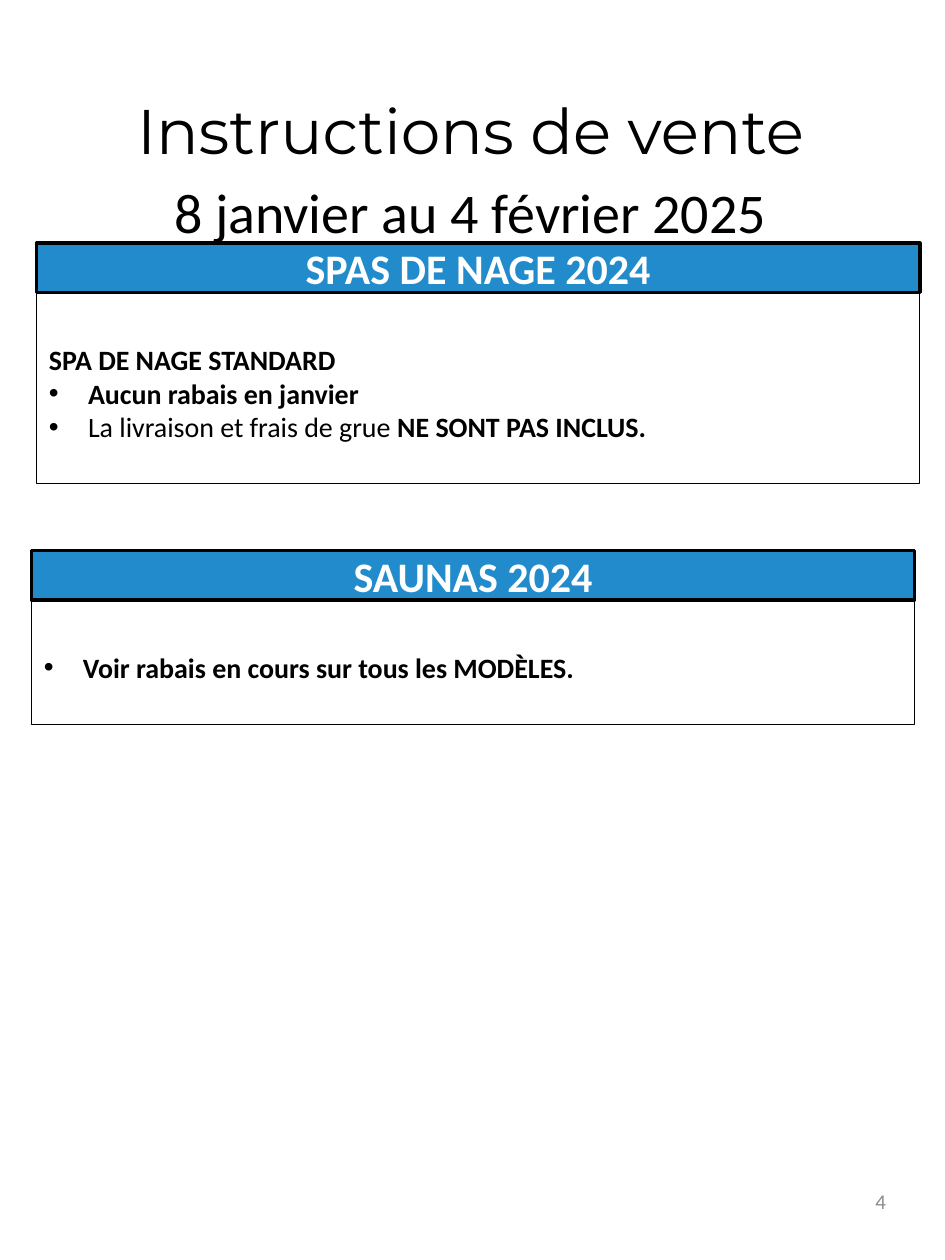
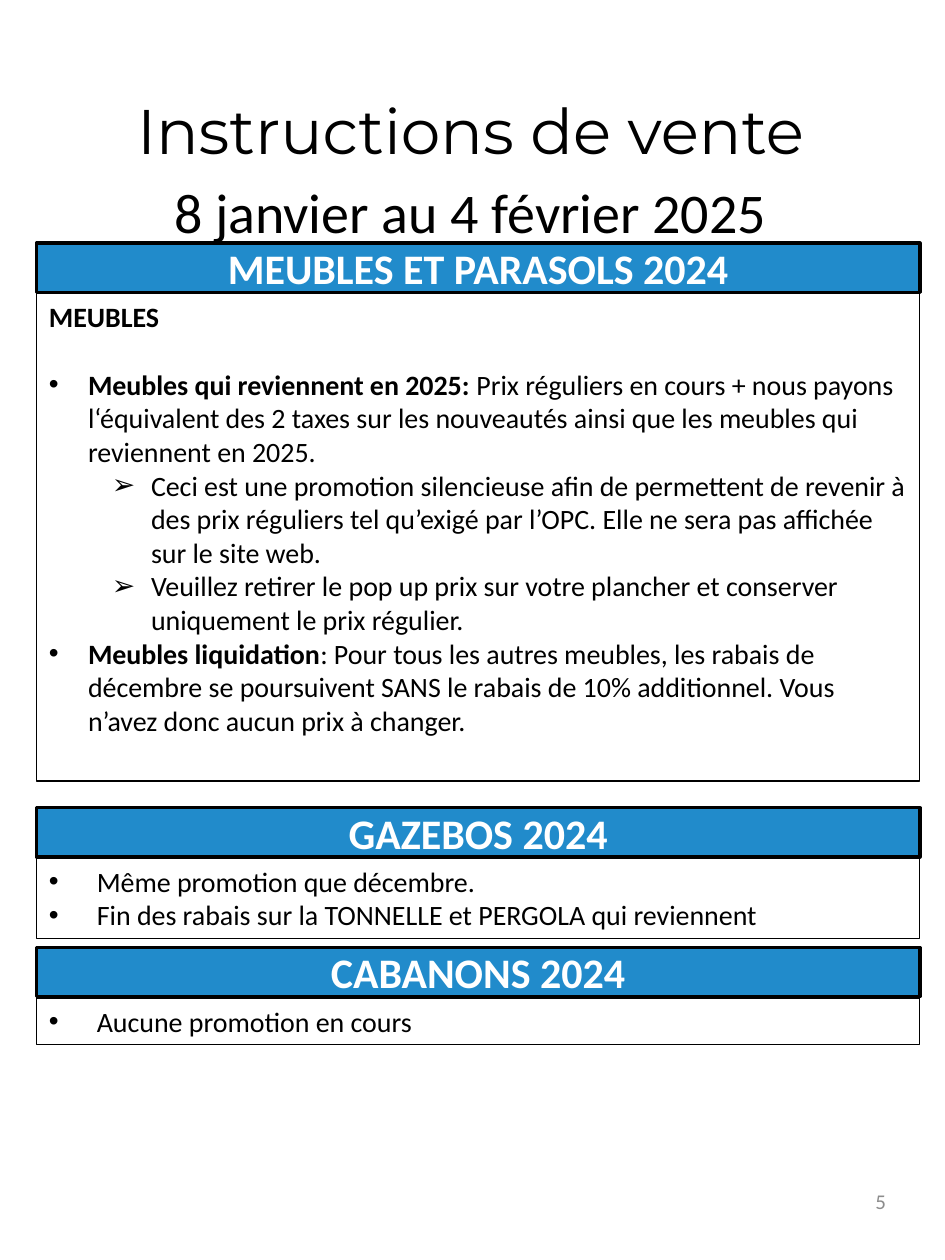
from dataclasses import dataclass

from lxml import etree
from pptx import Presentation
from pptx.dml.color import RGBColor
from pptx.enum.shapes import MSO_SHAPE
from pptx.enum.text import MSO_ANCHOR, PP_ALIGN
from pptx.oxml.ns import qn
from pptx.util import Inches, Pt

RECTANGLE = MSO_SHAPE.RECTANGLE
TOP, MIDDLE = MSO_ANCHOR.TOP, MSO_ANCHOR.MIDDLE
LEFT, CENTER, RIGHT = PP_ALIGN.LEFT, PP_ALIGN.CENTER, PP_ALIGN.RIGHT


@dataclass(frozen=True)
class Theme:
    band = RGBColor(0x21, 0x8B, 0xCB)
    ink = RGBColor(0, 0, 0)
    white = RGBColor(255, 255, 255)
    muted = RGBColor(0x8C, 0x8C, 0x8C)
    body_font = "Calibri"
    title_font = "Montserrat"
    title_size = Pt(36)
    date_size = Pt(32)
    band_size = Pt(24)
    body_size = Pt(16)
    number_size = Pt(12)
    band_line = Pt(2)
    body_line = Pt(0.75)


theme = Theme()

deck = Presentation()
deck.slide_width, deck.slide_height = Inches(7.5), Inches(10)
COLUMN = deck.slide_width / 75
ROW = deck.slide_height / 100

SECTION_WIDTH = 70.1  # columns
BAND_HEIGHT = 3.9  # rows
BODY_OFFSET = 4  # rows from the top of a band to the top of its body
INSET = 0.5  # rows above the first line of a body
LOW_INSET = 3.9

# Paragraph styles: left margin, hanging indent (inches), bullet
PLAIN = (0, 0, None)
BULLET = (0.31, 0.31, "•")
WIDE_BULLET = (0.38, 0.38, "•")
ARROW = (0.81, 0.31, "➢")

# Each section: heading, left column, top row, body rows, inset, paragraphs.
# Each paragraph: style, space before (points), spans of (text, bold).
pages = [
    (4, [
        ("SPAS DE NAGE 2024", 2.9, 19.3, 15.1, LOW_INSET, [
            (PLAIN, 0, [("SPA DE NAGE STANDARD", True)]),
            (BULLET, 0, [("Aucun rabais en janvier", True)]),
            (BULLET, 0, [("La livraison et frais de grue ", False),
                         ("NE SONT PAS INCLUS.", True)]),
        ]),
        ("SAUNAS 2024", 2.5, 43.7, 9.8, LOW_INSET, [
            (BULLET, 0, [("Voir rabais en cours sur tous les MODÈLES.", True)]),
        ]),
    ]),
    (5, [
        ("MEUBLES ET PARASOLS 2024", 2.9, 19.3, 38.7, INSET, [
            (PLAIN, 0, [("MEUBLES", True)]),
            (BULLET, 19.5, [
                ("Meubles qui reviennent en 2025: ", True),
                ("Prix réguliers en cours + nous payons l‘équivalent des 2 taxes "
                 "sur les nouveautés ainsi que les meubles qui reviennent en 2025.", False)]),
            (ARROW, 0, [
                ("Ceci est une promotion silencieuse afin de permettent de revenir à "
                 "des prix réguliers tel qu’exigé par l’OPC. Elle ne sera pas affichée "
                 "sur le site web.", False)]),
            (ARROW, 0, [
                ("Veuillez retirer le pop up prix sur votre plancher et conserver "
                 "uniquement le prix régulier.", False)]),
            (BULLET, 0, [
                ("Meubles liquidation", True),
                (": Pour tous les autres meubles, les rabais de décembre se poursuivent "
                 "SANS le rabais de 10% additionnel. Vous n’avez donc aucun prix à "
                 "changer.", False)]),
        ]),
        ("GAZEBOS 2024", 2.9, 64.1, 6.4, INSET, [
            (WIDE_BULLET, 0, [("Même promotion que décembre.", False)]),
            (WIDE_BULLET, 0, [("Fin des rabais sur la TONNELLE et PERGOLA qui reviennent", False)]),
        ]),
        ("CABANONS 2024", 2.9, 75.2, 3.7, INSET, [
            (WIDE_BULLET, 0, [("Aucune promotion en cours", False)]),
        ]),
    ]),
]


def add_box(page, left, top, width, height, anchor, line=None, fill=None):
    """Add a text box, or a rectangle when a line width is given; sizes in columns and rows."""
    place = [round(value) for value in
             (left * COLUMN, top * ROW, width * COLUMN, height * ROW)]
    if line is None:
        box = page.shapes.add_textbox(*place)
    else:
        box = page.shapes.add_shape(RECTANGLE, *place)
        box.shadow.inherit = False
        box.line.color.rgb = theme.ink
        box.line.width = line
        if fill is None:
            box.fill.background()
        else:
            box.fill.solid()
            box.fill.fore_color.rgb = fill
    box.text_frame.word_wrap = True
    box.text_frame.vertical_anchor = anchor
    return box


def style_paragraph(para, size, color, align, bold=None, style=PLAIN):
    margin, hanging, bullet = style
    if bullet:
        properties = para._p.get_or_add_pPr()
        properties.set("marL", str(Inches(margin)))
        properties.set("indent", str(-Inches(hanging)))
        etree.SubElement(properties, qn("a:buFont")).set("typeface", "Arial")
        etree.SubElement(properties, qn("a:buChar")).set("char", bullet)
    para.alignment = align
    para.font.name = theme.body_font
    para.font.size = size
    para.font.color.rgb = color
    para.font.bold = bold


for number, sections in pages:
    page = deck.slides.add_slide(deck.slide_layouts[6])

    title = add_box(page, 3.6, 5.9, 67.5, 11.8, TOP).text_frame.paragraphs[0]
    style_paragraph(title, theme.date_size, theme.ink, CENTER)
    title.line_spacing = 1.15
    heading_span = title.add_run()
    heading_span.text = "Instructions de vente"
    heading_span.font.name = theme.title_font
    heading_span.font.size = theme.title_size
    title.add_line_break()
    title.add_run().text = "8 janvier au 4 février 2025"

    for heading, left, top, body_rows, inset, paragraphs in sections:
        band = add_box(page, left, top, SECTION_WIDTH, BAND_HEIGHT, MIDDLE,
                       theme.band_line, theme.band)
        para = band.text_frame.paragraphs[0]
        para.text = heading
        style_paragraph(para, theme.band_size, theme.white, CENTER, bold=True)

        body = add_box(page, left, top + BODY_OFFSET, SECTION_WIDTH, body_rows, TOP,
                       theme.body_line).text_frame
        body.margin_top = round(inset * ROW)
        for index, (style, space_before, spans) in enumerate(paragraphs):
            para = body.add_paragraph() if index else body.paragraphs[0]
            style_paragraph(para, theme.body_size, theme.ink, LEFT, style=style)
            if space_before:
                para.space_before = Pt(space_before)
            for text, bold in spans:
                span = para.add_run()
                span.text = text
                span.font.bold = bold

    para = add_box(page, 53.8, 92.7, 17.5, 5.3, MIDDLE).text_frame.paragraphs[0]
    para.text = str(number)
    style_paragraph(para, theme.number_size, theme.muted, RIGHT)

deck.save("out.pptx")
